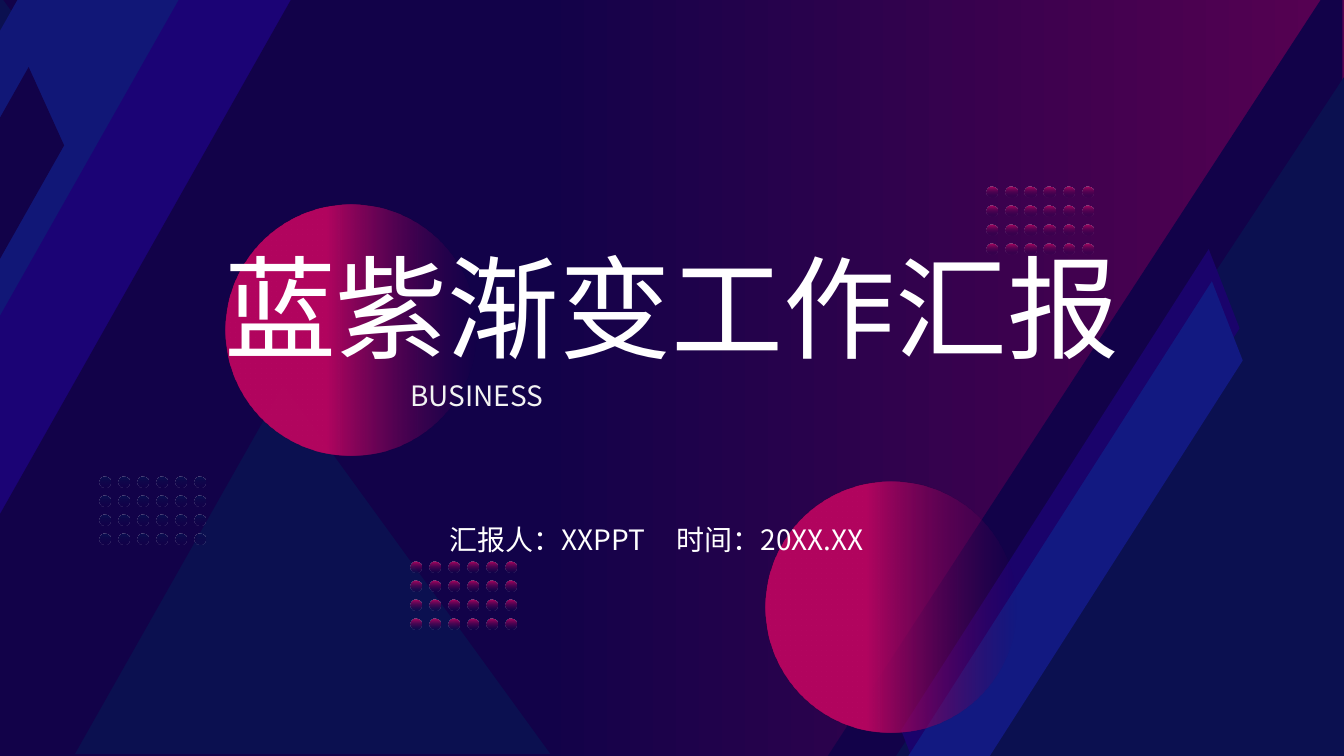
from lxml.etree import SubElement
from pptx import Presentation
from pptx.dml.color import RGBColor
from pptx.enum.shapes import MSO_SHAPE as Preset
from pptx.enum.text import MSO_ANCHOR as Anchor, MSO_AUTO_SIZE as AutoSize, PP_ALIGN as Align
from pptx.oxml.ns import qn
from pptx.util import Cm, Pt

COLORS = {
    "night": "120249", "plum": "570152", "pink": "B30660", "navy": "0B1050",
    "dot_navy": "0B1051", "blue": "111777", "royal": "121981",
    "violet": "1B0375", "deep_violet": "1A036B", "white": "FFFFFF", "pale": "F2F2F2",
}
FONT = "Noto Sans CJK SC"


def paint_gradient(fill, element, angle, stops):
    fill.gradient()
    fill.gradient_angle = angle
    for stop, (position, color, opacity) in zip(fill.gradient_stops, stops):
        stop.position = position
        stop.color.rgb = RGBColor.from_string(COLORS[color])
    for node, (position, color, opacity) in zip(element.xpath(".//a:gs/a:srgbClr"), stops):
        if opacity < 100:
            SubElement(node, qn("a:alpha")).set("val", str(opacity * 1000))


def write_text(shape, text, box, size, color="white", align=Align.LEFT, tab=None):
    shape.left, shape.top, shape.width, shape.height = [Cm(value) for value in box]
    shape.element.getparent().append(shape.element)
    frame = shape.text_frame
    frame.word_wrap = True
    frame.auto_size = AutoSize.SHAPE_TO_FIT_TEXT
    frame.vertical_anchor = Anchor.TOP
    paragraph = frame.paragraphs[0]
    paragraph.alignment = align
    paragraph.space_before = Pt(0)
    paragraph.line_spacing = 1.0
    if tab:
        tabs = SubElement(paragraph.element.get_or_add_pPr() if hasattr(paragraph, "element")
                          else paragraph._p.get_or_add_pPr(), qn("a:tabLst"))
        SubElement(tabs, qn("a:tab"), pos=str(Cm(tab)), algn="l")
    run = paragraph.add_run()
    run.text = text
    run.font.size = Pt(size)
    run.font.name = FONT
    run.font.color.rgb = RGBColor.from_string(COLORS[color])
    SubElement(run.font._element, qn("a:ea")).set("typeface", FONT)


presentation = Presentation()
presentation.slide_width, presentation.slide_height = Cm(33.87), Cm(19.05)
slide = presentation.slides.add_slide(presentation.slide_layouts[0])
paint_gradient(slide.background.fill, slide.element, 0,
               [(0.4, "night", 100), (1, "plum", 100)])

glow = (0, [(0.4, "pink", 100), (1, "plum", 0)])
dot_grids = []
for left, top, color, opacity in [
    (10.34, 14.15, "pink", 30),
    (24.87, 4.7, "pink", 0),
    (2.51, 12.01, "dot_navy", 36),
]:
    shade = (90, [(0, "night", opacity), (1, color, 100)])
    dot_grids.append([
        (Preset.OVAL, (left + column * 0.48, top + row * 0.48, 0.28, 0.28), shade, 0, False)
        for row in range(4) for column in range(6)
    ])
lower_dots, upper_dots, left_dots = dot_grids

layers = [
    [(Preset.RIGHT_TRIANGLE, (-0.58, -0.91, 14.45, 19.91), "navy", 0, False)],
    [(Preset.RIGHT_TRIANGLE, (20.85, -0.84, 12.98, 19.91), "night", 0, True)],
    [
        (Preset.RECTANGLE, (-4.24, -4.83, 6.22, 27.84), "blue", 29.5, False),
        (Preset.RECTANGLE, (-0.81, -3.71, 6.22, 27.84), "violet", 29.5, False),
        (Preset.RECTANGLE, (1.78, -4.29, 4.62, 29.41), "night", 29.5, False),
        (Preset.PARALLELOGRAM, (-12.62, 9.47, 18.9, 1.75), "night", 299.5, False),
    ],
    [(Preset.RIGHT_TRIANGLE, (22.53, 1.93, 11.35, 17.2), "navy", 0, True)],
    [
        (Preset.PARALLELOGRAM, (19.15, 12.47, 15.65, 1.73), "deep_violet", 302.6, False),
        (Preset.PARALLELOGRAM, (19.23, 13.28, 15.65, 1.73), "royal", 302.6, False),
    ],
    [(Preset.OVAL, (5.69, 5.16, 6.32, 6.32), glow, 0, False)],
    lower_dots,
    [(Preset.OVAL, (19.3, 12.14, 6.32, 6.32), glow, 0, False)],
    upper_dots,
    left_dots,
]
for layer in layers:
    shapes = slide.shapes if len(layer) == 1 else slide.shapes.add_group_shape().shapes
    for preset, box, paint, rotation, flipped in layer:
        shape = shapes.add_shape(preset, *[Cm(value) for value in box])
        shape.shadow.inherit = False
        shape.line.fill.background()
        shape.rotation = rotation
        if preset == Preset.PARALLELOGRAM:
            shape.adjustments[0] = 0.73
        if flipped:
            shape.element.xpath(".//a:xfrm")[0].set("flipH", "1")
        if isinstance(paint, str):
            shape.fill.solid()
            shape.fill.fore_color.rgb = RGBColor.from_string(COLORS[paint])
        else:
            paint_gradient(shape.fill, shape.element, *paint)

title, subtitle = slide.placeholders
write_text(title, "蓝紫渐变工作汇报", (4.62, 5.89, 24.64, 3.68), 80, align=Align.CENTER)
write_text(subtitle, "BUSINESS", (10.08, 9.4, 14, 1.12), 20, color="pale", align=Align.JUSTIFY)
details = slide.shapes.add_textbox(0, 0, 0, 0)
write_text(details, "汇报人：XXPPT\t时间：20XX.XX", (11.07, 13.03, 11.71, 1.12), 20, tab=5.73)

presentation.save("out.pptx")
